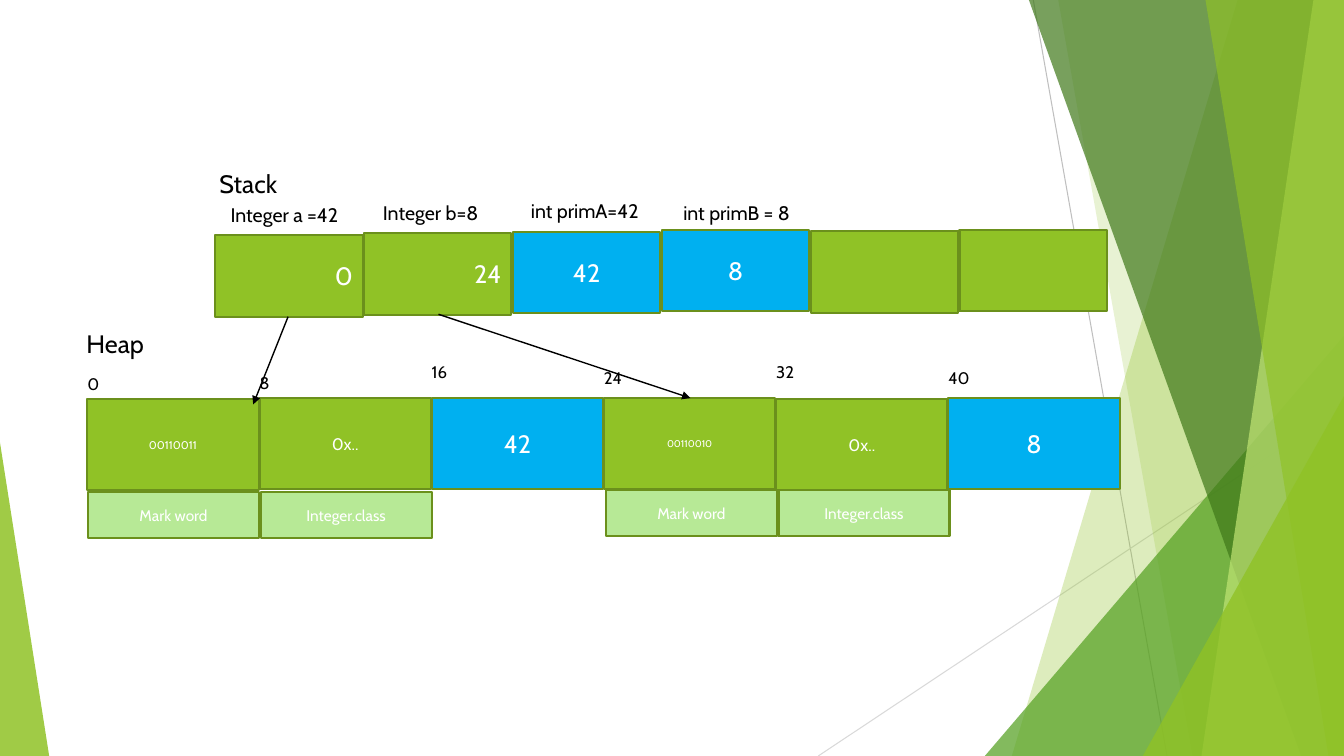
"""Build a slide showing how Integer and int values lie on the stack and the heap."""
from lxml import etree
from pptx import Presentation
from pptx.dml.color import RGBColor
from pptx.enum import shapes, text
from pptx.oxml import ns
from pptx.util import Cm, Pt

WIDTH, HEIGHT = 33.87, 19.05
GREEN, BLUE, PALE, EDGE = "90C226", "00B0F0", "B7E996", "6B901C"
WHITE, BLACK = "FFFFFF", "000000"
LEFT, CENTER, RIGHT = text.PP_ALIGN.LEFT, text.PP_ALIGN.CENTER, text.PP_ALIGN.RIGHT

HAIRLINES = [((26.04, 0), (29.41, HEIGHT), "BFBFBF"),
             ((WIDTH, 10.24), (20.62, HEIGHT), "D9D9D9")]
FACETS = [
    ("band", (31.19, 25.5), GREEN, 30),
    ("band", (26.67, 30.05), GREEN, 20),
    ("triangle", (24.82, 8.46, WIDTH, 1), "54A021", 72),
    ("band", (25.93, 32.79), "3F7819", 70),
    ("band", (33.1, 30.28), "C0E474", 70),
    ("band", (30.38, 33.48), GREEN, 65),
    ("triangle", (28.8, 9.98, WIDTH, 1), GREEN, 80),
    ("triangle", (0, 11.15, 1.24, 0), GREEN, 85),
]

STACK = {"left": 5.43, "pitch": 3.75, "size": (3.71, 2.06), "cells": [
    (0, 5.92, "0", GREEN, 18, RIGHT),
    (1, 5.87, "24", GREEN, 18, RIGHT),
    (2, 5.84, "42", BLUE, 18, CENTER),
    (3, 5.79, "8", BLUE, 18, CENTER),
    (4, 5.82, "", GREEN, 18, CENTER),
    (5, 5.79, "", GREEN, 18, CENTER),
]}
HEAP = {"left": 2.2, "pitch": 4.34, "size": (4.32, 2.29), "cells": [
    (0, 10.06, "00110011", GREEN, 8, CENTER),
    (1, 10.03, "0x..", GREEN, 12, CENTER),
    (2, 10.03, "42", BLUE, 18, CENTER),
    (3, 10.03, "00110010", GREEN, 7, CENTER),
    (4, 10.06, "0x..", GREEN, 12, CENTER),
    (5, 10.03, "8", BLUE, 18, CENTER),
]}
HEADERS = {"left": 2.22, "pitch": 4.35, "size": (4.31, 1.17), "cells": [
    (0, 12.4, "Mark word", PALE, 11, CENTER),
    (1, 12.4, "Integer.class", PALE, 11, CENTER),
    (3, 12.34, "Mark word", PALE, 11, CENTER),
    (4, 12.34, "Integer.class", PALE, 11, CENTER),
]}

HEADINGS = [("Stack", 5.28, 4.11, 2.06), ("Heap", 1.93, 8.15, 1.98)]
DECLARATIONS = [("Integer a =42", 5.56, 4.98, 3.45), ("Integer b=8", 9.4, 4.93, 3.05),
                ("int primA=42", 13.13, 4.88, 3.38), ("int primB = 8", 16.97, 4.95, 3.4)]
ADDRESSES = [("0", 9.3), ("8", 9.27), ("16", 8.99), ("24", 9.14), ("32", 8.99), ("40", 9.14)]
ADDRESS_LEFT, ADDRESS_WIDTH = 1.95, 2.1
POINTERS = [((7.26, 7.98), (6.38, 10.19)), ((11.05, 7.92), (17.4, 10.03))]


def rgb(value):
    return RGBColor.from_string(value)


def add_xml(parent, tag, **attributes):
    return etree.SubElement(parent, ns.qn(tag), **attributes)


def paint(part, color, opacity=None, edge=None):
    part.shadow.inherit = False
    part.fill.solid()
    part.fill.fore_color.rgb = rgb(color)
    if opacity:
        shade = part.fill._xPr.find(".//" + ns.qn("a:srgbClr"))
        add_xml(shade, "a:alpha", val=str(opacity * 1000))
    if edge:
        part.line.color.rgb = rgb(edge)
        part.line.width = Pt(1.5)
    else:
        part.line.fill.background()


def write(frame, wording, size, color, align):
    paragraph = frame.paragraphs[0]
    paragraph.text = wording
    paragraph.alignment = align
    font_format = {"name": "Cabin", "size": Pt(size)}
    for attribute, value in font_format.items():
        setattr(paragraph.runs[0].font, attribute, value)
    paragraph.runs[0].font.color.rgb = rgb(color)


def add_line(slide, start, end, color, width, arrow=False):
    line = slide.shapes.add_connector(
        shapes.MSO_CONNECTOR.STRAIGHT, *(Cm(v) for v in start + end))
    line.line.color.rgb = rgb(color)
    line.line.width = Pt(width)
    if arrow:
        add_xml(line.line._get_or_add_ln(), "a:tailEnd", type="triangle")
    add_xml(line._element.spPr, "a:effectLst")


def add_band(slide, top, bottom):
    corners = [(top, 0), (WIDTH, 0), (WIDTH, HEIGHT), (bottom, HEIGHT)]
    start, *others = [(Cm(x), Cm(y)) for x, y in corners]
    outline = slide.shapes.build_freeform(*start)
    outline.add_line_segments(others, close=True)
    return outline.convert_to_shape()


def add_triangle(slide, left, top, right, apex):
    box = (Cm(v) for v in (left, top, right - left, HEIGHT - top))
    triangle = slide.shapes.add_shape(shapes.MSO_SHAPE.ISOSCELES_TRIANGLE, *box)
    triangle.adjustments[0] = apex
    return triangle


def add_cells(slide, row):
    for column, top, wording, color, size, align in row["cells"]:
        box = (row["left"] + column * row["pitch"], top, *row["size"])
        cell = slide.shapes.add_shape(shapes.MSO_SHAPE.RECTANGLE, *(Cm(v) for v in box))
        paint(cell, color, edge=EDGE)
        if wording:
            write(cell.text_frame, wording, size, WHITE, align)


def add_label(slide, wording, left, top, width, size, wrap=False):
    height = size * 0.05 + 0.13
    label = slide.shapes.add_textbox(Cm(left), Cm(top), Cm(width), Cm(height))
    frame_format = {"word_wrap": wrap, "auto_size": text.MSO_AUTO_SIZE.SHAPE_TO_FIT_TEXT}
    for attribute, value in frame_format.items():
        setattr(label.text_frame, attribute, value)
    write(label.text_frame, wording, size, BLACK, LEFT)


def main():
    deck = Presentation()
    deck.slide_width, deck.slide_height = Cm(WIDTH), Cm(HEIGHT)
    slide = deck.slides.add_slide(deck.slide_layouts[6])

    for start, end, color in HAIRLINES:
        add_line(slide, start, end, color, 0.75)
    builders = {"band": add_band, "triangle": add_triangle}
    for kind, geometry, color, opacity in FACETS:
        paint(builders[kind](slide, *geometry), color, opacity)

    for row in (STACK, HEAP, HEADERS):
        add_cells(slide, row)
    for heading in HEADINGS:
        add_label(slide, *heading, 18)
    for declaration in DECLARATIONS:
        add_label(slide, *declaration, 14)
    for column, (address, top) in enumerate(ADDRESSES):
        left = ADDRESS_LEFT + column * HEAP["pitch"]
        add_label(slide, address, left, top, ADDRESS_WIDTH, 12, wrap=True)
    for start, end in POINTERS:
        add_line(slide, start, end, BLACK, 1, arrow=True)

    deck.save("out.pptx")


if __name__ == "__main__":
    main()
